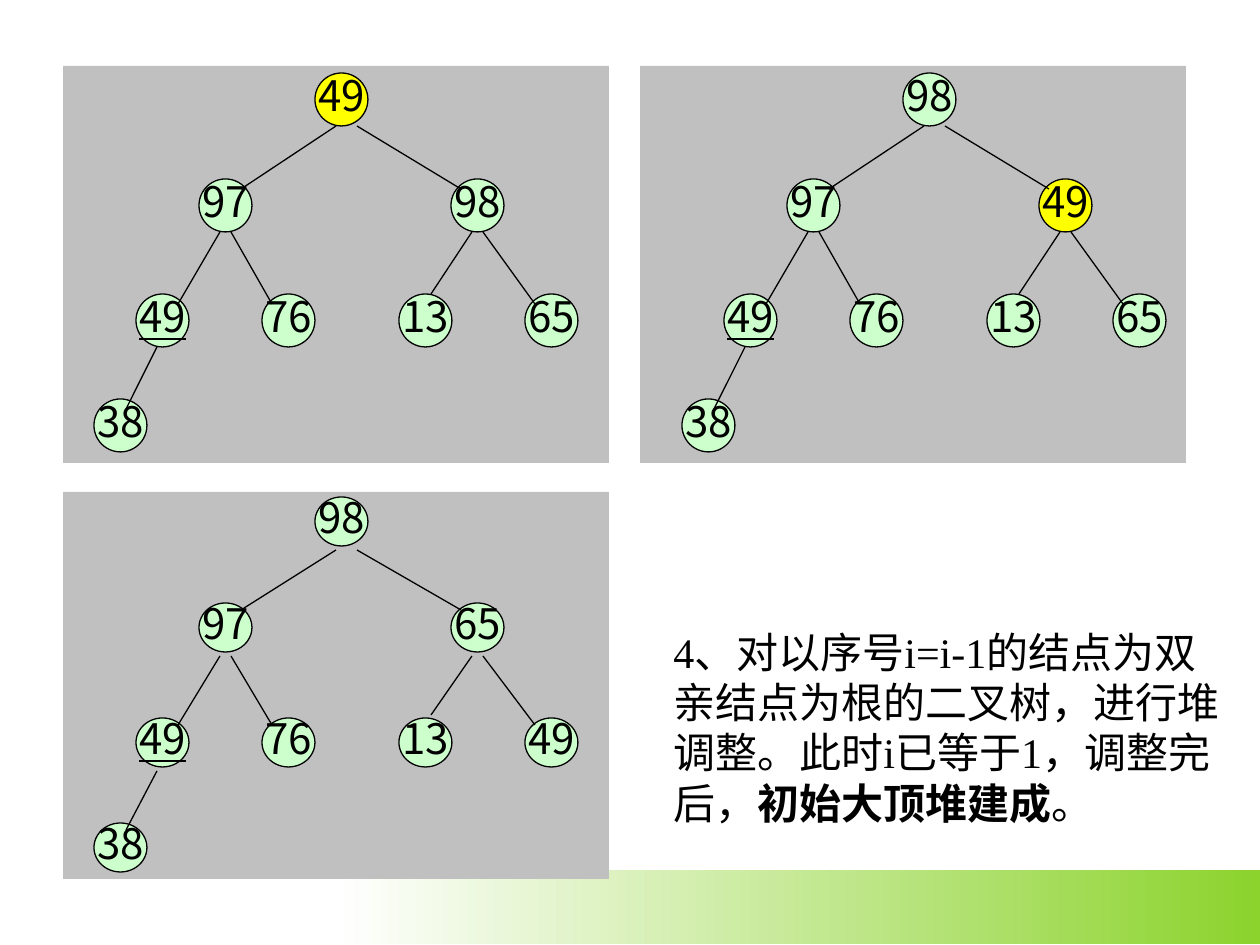
from dataclasses import dataclass

from lxml.etree import SubElement
from pptx import Presentation
from pptx.dml.color import RGBColor
from pptx.enum.shapes import MSO_CONNECTOR, MSO_SHAPE
from pptx.enum.text import MSO_ANCHOR, MSO_AUTO_SIZE, PP_ALIGN
from pptx.oxml.ns import qn
from pptx.util import Pt

SCALE = 914400 / 126  # EMU in one px
WIDE, HIGH = 1260, 945
SIZE = 53  # node width, and drop from a node's top to its edges

# Left and top of each heap slot, level by level
SPOTS = [(315, 73), (199, 179), (451, 179),
         (136, 294), (262, 294), (399, 294), (525, 294), (94, 399)]
# Edge into each slot after the root: x in parent, x in child, y in child
EDGES = [(21, 42, 10), (42, 10, 10), (21, 42, 10), (32, 10, 10),
         (21, 32, 0), (32, 10, 10), (21, 32, 10)]
LINED = 3  # slot of the second, underlined 49


@dataclass(frozen=True)
class Theme:
    ink: str = "000000"
    panel: str = "C0C0C0"
    node: str = "CCFFCC"
    mark: str = "FFFF00"
    band: tuple = ("FFFFFF", "8CD32D")
    sans: str = "Noto Sans CJK SC"
    serif: str = "Times New Roman"
    text: int = 24
    line: float = 0.75


@dataclass(frozen=True)
class Tree:
    keys: tuple
    panel: tuple
    shift: tuple
    mark: int = -1  # slot being sifted down
    high: int = SIZE
    lift: int = 0  # how far edges end above their usual spot


TREES = [
    Tree((49, 97, 98, 49, 76, 13, 65, 38), (63, 66, 546, 397), (0, 0), mark=0),
    Tree((98, 97, 49, 49, 76, 13, 65, 38), (640, 66, 546, 397), (588, 0), mark=2),
    Tree((98, 97, 65, 49, 76, 13, 49, 38), (63, 492, 546, 387), (0, 424),
         high=49, lift=3),
]


def emu(*sizes):
    return [round(size * SCALE) for size in sizes]


def rgb(code):
    return RGBColor.from_string(code)


class Board:
    def __init__(self, slide, theme):
        self.shapes = slide.shapes
        self.theme = theme

    def shape(self, kind, box, fill=None):
        item = self.shapes.add_shape(kind, *emu(*box))
        item.shadow.inherit = False
        item.line.fill.background()
        if fill:
            item.fill.solid()
            item.fill.fore_color.rgb = rgb(fill)
        return item

    def stroke(self, line):
        line.color.rgb = rgb(self.theme.ink)
        line.width = Pt(self.theme.line)

    def style(self, run, face):
        run.font.name = face
        run.font.size = Pt(self.theme.text)
        run.font.color.rgb = rgb(self.theme.ink)
        SubElement(run.font._element, qn("a:ea"), typeface=self.theme.sans)

    def band(self, box):
        fill = self.shape(MSO_SHAPE.RECTANGLE, box).fill
        fill.gradient()
        fill.gradient_angle = 0
        for stop, code, place in zip(fill.gradient_stops, self.theme.band, (0, 1)):
            stop.color.rgb = rgb(code)
            stop.position = place

    def node(self, key, box, fill, lined):
        item = self.shape(MSO_SHAPE.OVAL, box, fill)
        self.stroke(item.line)
        frame = item.text_frame
        frame.text = str(key)
        frame.word_wrap = False
        frame.vertical_anchor = MSO_ANCHOR.MIDDLE
        para = frame.paragraphs[0]
        para.alignment = PP_ALIGN.CENTER
        para.line_spacing = 0.8
        run = para.runs[0]
        self.style(run, self.theme.sans)
        if lined:
            run.font.underline = True

    def edge(self, start, end):
        item = self.shapes.add_connector(MSO_CONNECTOR.STRAIGHT, *emu(*start, *end))
        self.stroke(item.line)
        SubElement(item._element.spPr, qn("a:effectLst"))

    def tree(self, tree):
        theme = self.theme
        self.shape(MSO_SHAPE.RECTANGLE, tree.panel, theme.panel)
        right, down = tree.shift
        spots = [(x + right, y + down) for x, y in SPOTS]
        for slot, (key, spot) in enumerate(zip(tree.keys, spots)):
            fill = theme.mark if slot == tree.mark else theme.node
            self.node(key, (*spot, SIZE, tree.high), fill, slot == LINED)
        for slot, (out, into, dip) in enumerate(EDGES, 1):
            px, py = spots[(slot - 1) // 2]
            cx, cy = spots[slot]
            self.edge((px + out, py + SIZE), (cx + into, cy + dip - tree.lift))

    def note(self, box, parts):
        """Add one paragraph from (text, bold) parts."""
        frame = self.shapes.add_textbox(*emu(*box)).text_frame
        frame.word_wrap = True
        frame.auto_size = MSO_AUTO_SIZE.SHAPE_TO_FIT_TEXT
        para = frame.paragraphs[0]
        para.space_before = Pt(15)
        for text, bold in parts:
            run = para.add_run()
            run.text = text
            run.font.bold = bold
            self.style(run, self.theme.serif)


def main():
    deck = Presentation()
    deck.slide_width, deck.slide_height = emu(WIDE, HIGH)
    board = Board(deck.slides.add_slide(deck.slide_layouts[6]), Theme())
    board.band((336, 870, 924, 74))
    for tree in TREES:
        board.tree(tree)
    board.note((661, 620, 575, 214), [
        ("4、对以序号i=i-1的结点为双亲结点为根的二叉树，进行堆调整。"
         "此时i已等于1，调整完后，", False),
        ("初始大顶堆建成", True),
        ("。", False),
    ])
    deck.save("out.pptx")


if __name__ == "__main__":
    main()
